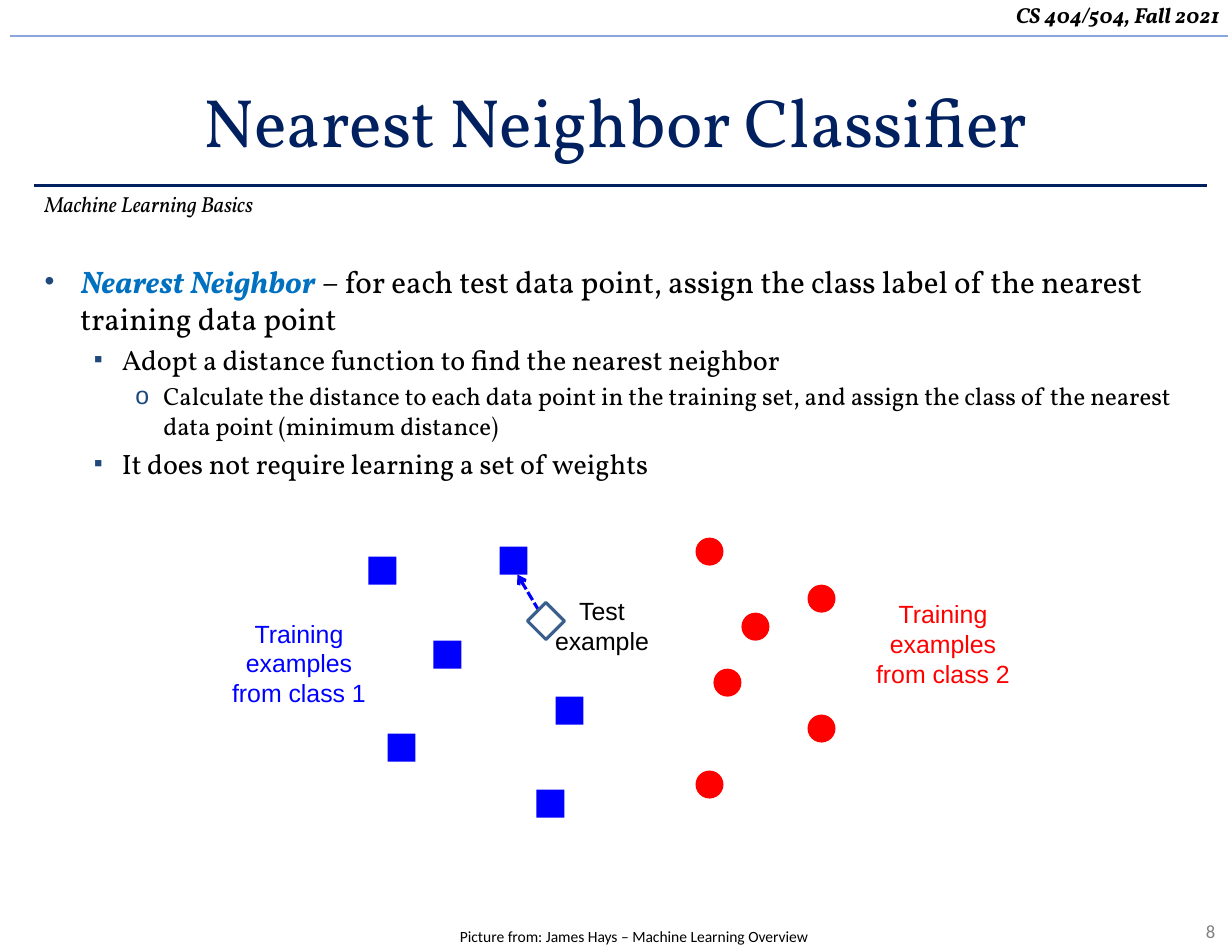
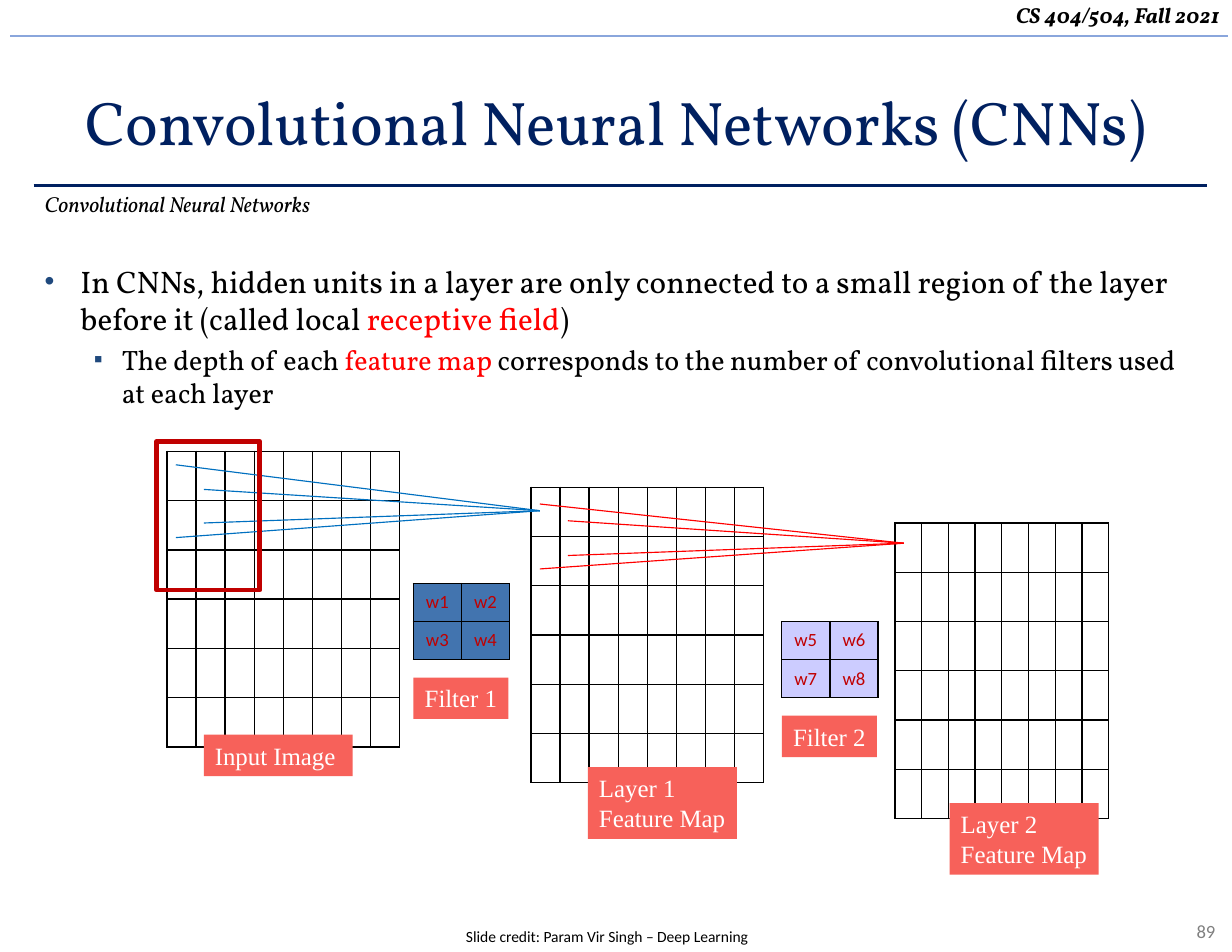
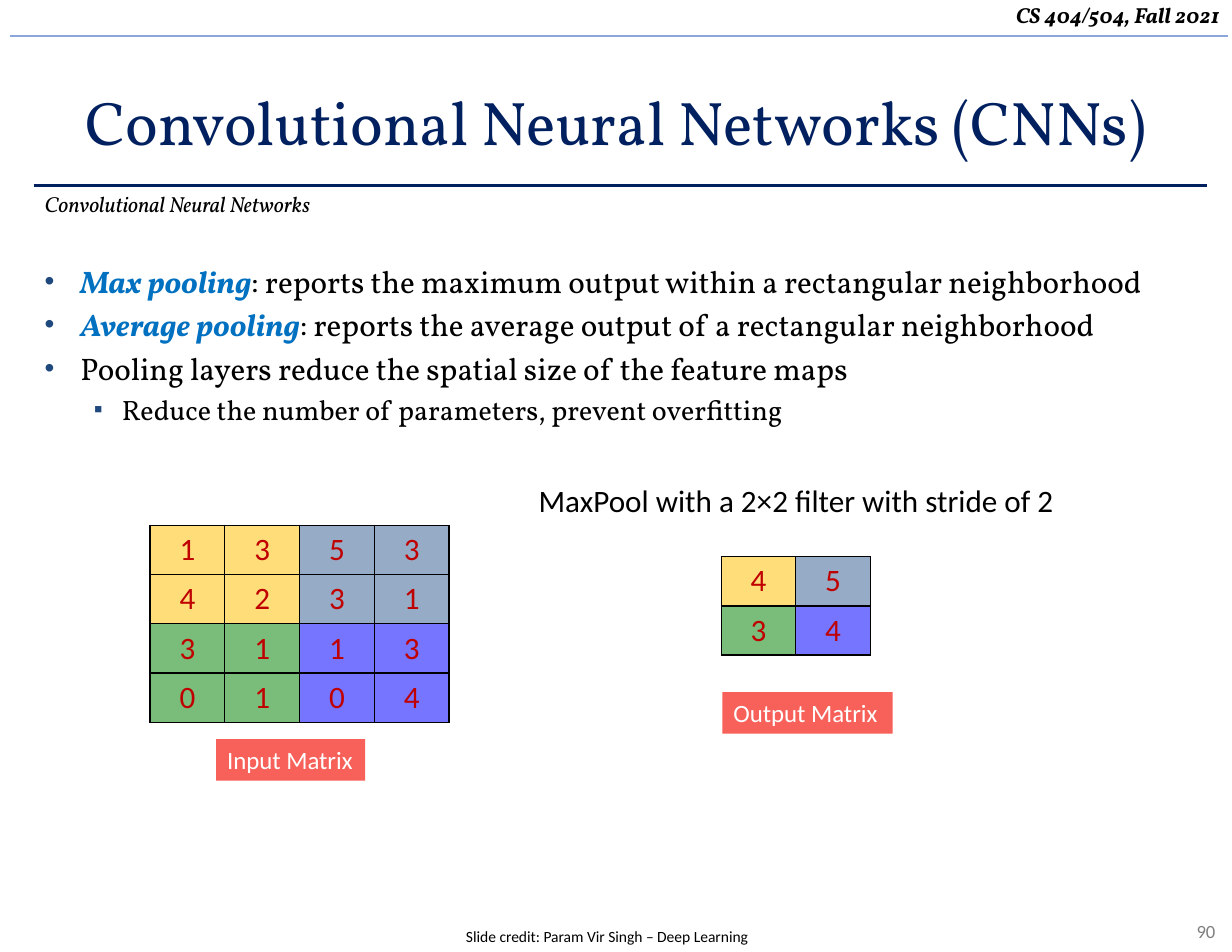
"""Build three lecture slides on nearest neighbors and CNNs."""
import dataclasses
import lxml.etree
import pptx
import pptx.dml.color
import pptx.enum.dml
import pptx.enum.shapes
import pptx.enum.text
import pptx.oxml.ns
import pptx.util

Inches = pptx.util.Inches
Pt = pptx.util.Pt
Align = pptx.enum.text.PP_ALIGN
Anchor = pptx.enum.text.MSO_ANCHOR
Shape = pptx.enum.shapes.MSO_SHAPE
qn = pptx.oxml.ns.qn


@dataclasses.dataclass(frozen=True)
class Theme:
    """Colours, fonts and type sizes of the deck."""
    black: str = "000000"
    white: str = "FFFFFF"
    gray: str = "808080"
    navy: str = "002060"
    pale: str = "8AA6DC"
    mark: str = "1F497D"
    sky: str = "0070C0"
    blue: str = "0000FF"
    red: str = "FF0000"
    dark: str = "C00000"
    coral: str = "F7615A"
    edge: str = "3A5F8C"
    steel: str = "4274AF"
    lilac: str = "CCCCFF"
    serif: str = "Vollkorn"
    sans: str = "Calibri"
    plain: str = "Arial"
    times: str = "Times New Roman"
    title: float = 44
    fit: float = 39.6
    head: float = 14
    label: float = 16
    small: float = 12
    note: float = 10
    large: float = 20
    levels: tuple = (20, 18, 16)
    tints: tuple = (("FFC000", 52), ("376092", 52), ("008000", 52), ("0000FF", 54))


T = Theme()
BULLETS = (("•", 0.32, 0.32, 90), ("▪", 0.69, 0.25, 90), ("o", 1.06, 0.25, 100))


@dataclasses.dataclass(frozen=True)
class Box:
    """A region in inches that holds smaller parts."""
    x: float
    y: float
    w: float
    h: float

    def inner(self, x, y, w=0, h=0):
        """Return a box set off from this one."""
        return Box(self.x + x, self.y + y, w, h)

    def span(self):
        """Return left, top, width and height as lengths."""
        return [Inches(n) for n in (self.x, self.y, self.w, self.h)]


def rgb(code):
    """Turn a hex code into a colour."""
    return pptx.dml.color.RGBColor.from_string(code)


def add_run(para, text, font, size, color, bold=False, slant=False):
    """Add one styled run to a paragraph."""
    run = para.add_run()
    run.text = text
    run.font.name = font
    run.font.size = Pt(size)
    run.font.color.rgb = rgb(color)
    run.font.bold = bold
    run.font.italic = slant


def add_text(slide, box, text, font, size, color, align=Align.LEFT,
             anchor=Anchor.TOP, **style):
    """Add a wrapped text box with one run."""
    frame = slide.shapes.add_textbox(*box.span()).text_frame
    frame.word_wrap = True
    frame.vertical_anchor = anchor
    para = frame.paragraphs[0]
    para.alignment = align
    add_run(para, text, font, size, color, **style)


def add_form(slide, kind, box, fill=None, line=None, width=2):
    """Add a flat shape with the given fill and line."""
    form = slide.shapes.add_shape(kind, *box.span())
    form.shadow.inherit = False
    if fill:
        form.fill.solid()
        form.fill.fore_color.rgb = rgb(fill)
    else:
        form.fill.background()
    if line:
        form.line.color.rgb = rgb(line)
        form.line.width = Pt(width)
    else:
        form.line.fill.background()
    return form


def add_tag(slide, box, text, font, align=Align.LEFT):
    """Add a coral label with white text."""
    frame = add_form(slide, Shape.RECTANGLE, box, T.coral).text_frame
    frame.word_wrap = True
    frame.vertical_anchor = Anchor.TOP
    para = frame.paragraphs[0]
    para.alignment = align
    add_run(para, text, font, T.label, T.white)


def add_line(slide, start, end, color, width, arrow=False):
    """Draw a line between two points, dashed with a head if asked."""
    ends = [Inches(n) for n in (start.x, start.y, end.x, end.y)]
    line = slide.shapes.add_connector(pptx.enum.shapes.MSO_CONNECTOR.STRAIGHT, *ends)
    lxml.etree.SubElement(line._element.spPr, qn("a:effectLst"))
    line.line.color.rgb = rgb(color)
    line.line.width = Pt(width)
    if arrow:
        line.line.dash_style = pptx.enum.dml.MSO_LINE.SQUARE_DOT
        stroke = line._element.spPr.find(qn("a:ln"))
        lxml.etree.SubElement(stroke, qn("a:tailEnd"), type="arrow")


def add_edges(cell):
    """Give a cell thin black borders."""
    props = cell._tc.get_or_add_tcPr()
    for side in "LRTB":
        edge = lxml.etree.SubElement(props, qn(f"a:ln{side}"), w=str(Pt(1)))
        fill = lxml.etree.SubElement(edge, qn("a:solidFill"))
        lxml.etree.SubElement(fill, qn("a:srgbClr"), val=T.black)


def add_grid(slide, box, rows, size=12, tints=None):
    """Add a table whose four quarters take the given tints."""
    high, wide = len(rows), len(rows[0])
    table = slide.shapes.add_table(high, wide, *box.span()).table
    table.first_row = table.horz_banding = False
    for r, row in enumerate(rows):
        for c, text in enumerate(row):
            cell = table.cell(r, c)
            cell.margin_left = cell.margin_right = 0
            cell.margin_top = cell.margin_bottom = 0
            cell.vertical_anchor = Anchor.MIDDLE
            add_edges(cell)
            if tints:
                color, alpha = tints[2 * (2 * r // high) + 2 * c // wide]
                cell.fill.solid()
                cell.fill.fore_color.rgb = rgb(color)
                tone = cell._tc.tcPr.find(qn("a:solidFill"))[0]
                if alpha < 100:
                    lxml.etree.SubElement(tone, qn("a:alpha"), val=str(alpha * 1000))
            else:
                cell.fill.background()
            if text:
                para = cell.text_frame.paragraphs[0]
                para.alignment = Align.CENTER
                add_run(para, text, T.sans, size, T.dark)


def add_mark(para, level):
    """Set the bullet and indent of a level."""
    char, left, hang, scale = BULLETS[level]
    props = para._p.get_or_add_pPr()
    props.set("marL", str(Inches(left)))
    props.set("indent", str(-Inches(hang)))
    tone = lxml.etree.SubElement(props, qn("a:buClr"))
    lxml.etree.SubElement(tone, qn("a:srgbClr"), val=T.mark)
    lxml.etree.SubElement(props, qn("a:buSzPct"), val=str(scale * 1000))
    lxml.etree.SubElement(props, qn("a:buFont"), typeface=T.plain)
    lxml.etree.SubElement(props, qn("a:buChar"), char=char)


def add_list(slide, box, items):
    """Add the bullet list; each item is a level and its runs."""
    looks = {"": (T.black, False), "term": (T.sky, True), "hot": (T.red, False)}
    frame = slide.shapes.add_textbox(*box.span()).text_frame
    frame.word_wrap = True
    for i, (level, runs) in enumerate(items):
        para = frame.add_paragraph() if i else frame.paragraphs[0]
        para.level = level
        size = T.levels[level]
        add_mark(para, level)
        if i:
            para.space_before = Pt(0.2 * size)
        for text, look in runs:
            color, bold = looks[look]
            add_run(para, text, T.serif, size, color, bold, bold)


def add_page(deck, title, size, topic, items, number, credit, left=1.64):
    """Add a slide with header, title, topic, list and footer."""
    slide = deck.slides.add_slide(deck.slide_layouts[6])
    page = Box(0, 0, 11, 8.5)
    add_text(slide, page.inner(9.74, 8.16, 1.21, 0.3), number, T.sans, T.small,
             T.gray, Align.RIGHT)
    add_text(slide, page.inner(0, -0.03, 10.99, 0.34), "CS 404/504, Fall 2021",
             T.serif, T.head, T.black, Align.RIGHT, bold=True, slant=True)
    add_line(slide, page.inner(0.09, 0.32), page.inner(10.96, 0.32), T.pale, 1.5)
    add_line(slide, page.inner(0.3, 1.66), page.inner(10.78, 1.66), T.navy, 2)
    add_text(slide, page.inner(0, 0.5, 11, 1.15), title, T.serif, size, T.navy,
             Align.CENTER, Anchor.MIDDLE)
    add_list(slide, page.inner(0.3, 2.29, 10.48, 5.87), items)
    add_text(slide, page.inner(0.3, 1.65, 6.77, 0.38), topic, T.serif, T.head,
             T.black, slant=True)
    add_text(slide, page.inner(left, 8.23, 7.56, 0.27), credit, T.sans, T.note,
             T.black, Align.CENTER)
    return slide


def add_plot(slide, box):
    """Draw the two classes and the test point."""
    squares = ((1.33, 0.17), (1.91, 0.92), (2.5, 0.08), (1.5, 1.75), (3, 1.42), (2.83, 2.25))
    dots = ((5.25, 0.42), (4.41, 1.17), (5.25, 1.58), (4.25, 0), (4.66, 0.67), (4.25, 2.08))
    for kind, spots, color in ((Shape.RECTANGLE, squares, T.blue), (Shape.OVAL, dots, T.red)):
        for x, y in spots:
            add_form(slide, kind, box.inner(x, y, 0.25, 0.25), color)
    labels = (
        ((2.83, 0.47, 1.17, 0.64), "Test example", T.black),
        ((0, 0.67, 1.42, 0.91), "Training examples from class 1", T.blue),
        ((5.75, 0.5, 1.42, 0.91), "Training examples from class 2", T.red),
    )
    for place, text, color in labels:
        add_text(slide, box.inner(*place), text, T.plain, T.label, color, Align.CENTER)
    add_line(slide, box.inner(2.91, 0.75), box.inner(2.66, 0.33), T.blue, 2, True)
    add_form(slide, Shape.DIAMOND, box.inner(2.75, 0.58, 0.33, 0.33), T.white, T.edge)


def add_net(slide, box):
    """Draw three layers, the fans between them and the filters."""
    grids = [box.inner(0.09 + 3.25 * i, 0.09 + 0.32 * i, wide, 2.64)
             for i, wide in enumerate((2.08, 2.08, 1.91))]
    for grid in grids:
        add_grid(slide, grid, [[""] * 8] * 6)
    fans = ((T.sky, (0.12, 0.34, 0.64, 0.77), 0.21), (T.red, (0.15, 0.3, 0.61, 0.73), 0.18))
    for i, (color, drops, goal) in enumerate(fans):
        for x, y in zip((0.08, 0.33, 0.33, 0.08), drops):
            add_line(slide, grids[i].inner(x, y), grids[i + 1].inner(0.08, goal), color, 0.75)
    tags = ((0.33, 2.53, 0.37, "Input Image"), (0.51, 2.5, 0.64, "Layer 1 Feature Map"),
            (0.49, 2.5, 0.64, "Layer 2 Feature Map"))
    for grid, (x, y, high, text) in zip(grids, tags):
        add_tag(slide, grid.inner(x, y, 1.33, high), text, T.times)
    for i, color in enumerate((T.steel, T.lilac)):
        first = 4 * i + 1
        rows = [[f"w{n}", f"w{n + 1}"] for n in (first, first + 2)]
        kern = box.inner(2.29 + 3.29 * i, 1.27 + 0.34 * i, 0.86, 0.68)
        add_grid(slide, kern, rows, T.small, [(color, 100)] * 4)
        add_tag(slide, kern.inner(0, 0.84, 0.85, 0.37), f"Filter {i + 1}", T.times, Align.CENTER)
    add_form(slide, Shape.RECTANGLE, box.inner(0, 0, 0.92, 1.33), line=T.dark, width=3)


def add_pool(slide, box):
    """Draw the input matrix and its pooled output."""
    add_grid(slide, box.inner(0, 0.44, 2.67, 1.76), ["1353", "4231", "3113", "0104"],
             T.large, T.tints)
    add_text(slide, box.inner(3.37, 0, 5.41, 0.44),
             "MaxPool with a 2×2 filter with stride of 2", T.sans, T.large, T.black)
    add_tag(slide, box.inner(0.59, 2.35, 1.33, 0.37), "Input Matrix", T.sans)
    add_tag(slide, box.inner(5.11, 1.93, 1.52, 0.37), "Output Matrix", T.sans)
    add_grid(slide, box.inner(5.1, 0.72, 1.33, 0.88), ["45", "34"], T.large, T.tints)


def main():
    """Build and save the deck."""
    deck = pptx.Presentation()
    deck.slide_width, deck.slide_height = Inches(11), Inches(8.5)
    near = [
        (0, [("Nearest Neighbor ", "term"),
             ("– for each test data point, assign the class label of the nearest "
              "training data point", "")]),
        (1, [("Adopt a distance function to find the nearest neighbor", "")]),
        (2, [("Calculate the distance to each data point in the training set, and "
              "assign the class of the nearest data point (minimum distance)", "")]),
        (1, [("It does not require learning a set of weights", "")]),
    ]
    slide = add_page(deck, "Nearest Neighbor Classifier", T.title, "Machine Learning Basics",
                     near, "8", "Picture from: James Hays – Machine Learning Overview", 1.88)
    add_plot(slide, Box(1.96, 4.8, 7.17, 2.5))

    title, topic = "Convolutional Neural Networks (CNNs)", "Convolutional Neural Networks"
    credit = "Slide credit: Param Vir Singh – Deep Learning"
    field = [
        (0, [("In CNNs, hidden units in a layer are only connected to a small region of "
              "the layer before it (called local ", ""), ("receptive field", "hot"), (")", "")]),
        (1, [("The depth of each ", ""), ("feature map ", "hot"),
             ("corresponds to the number of convolutional filters used at each layer", "")]),
    ]
    slide = add_page(deck, title, T.fit, topic, field, "89", credit)
    add_net(slide, Box(1.4, 3.94, 8.51, 3.87))

    pools = [
        (0, [("Max pooling", "term"),
             (": reports the maximum output within a rectangular neighborhood", "")]),
        (0, [("Average pooling", "term"),
             (": reports the average output of a rectangular neighborhood", "")]),
        (0, [("Pooling layers reduce the spatial size of the feature maps", "")]),
        (1, [("Reduce the number of parameters, prevent overfitting", "")]),
    ]
    slide = add_page(deck, title, T.fit, topic, pools, "90", credit)
    add_pool(slide, Box(1.34, 4.25, 8.78, 2.72))
    deck.save("out.pptx")


if __name__ == "__main__":
    main()
